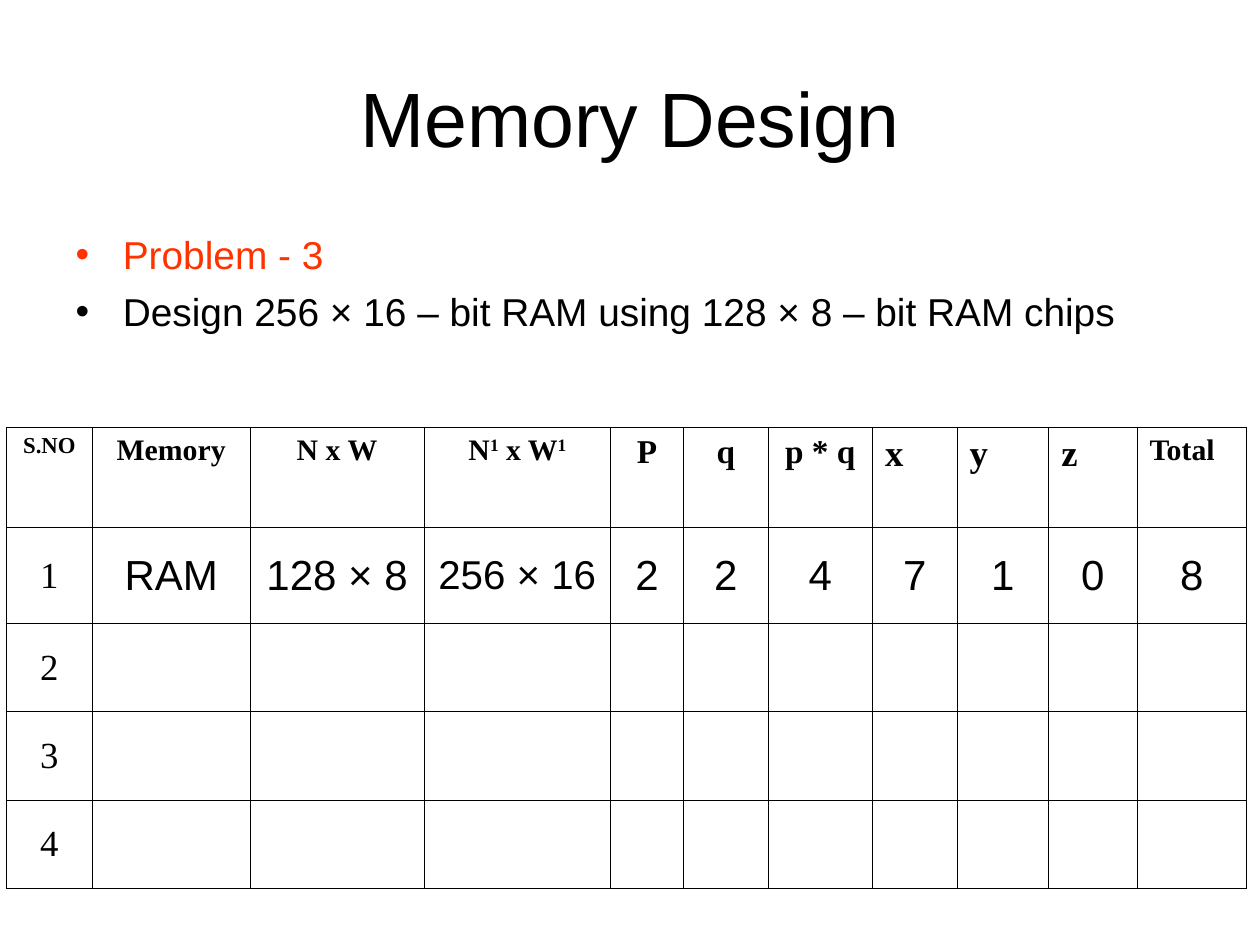
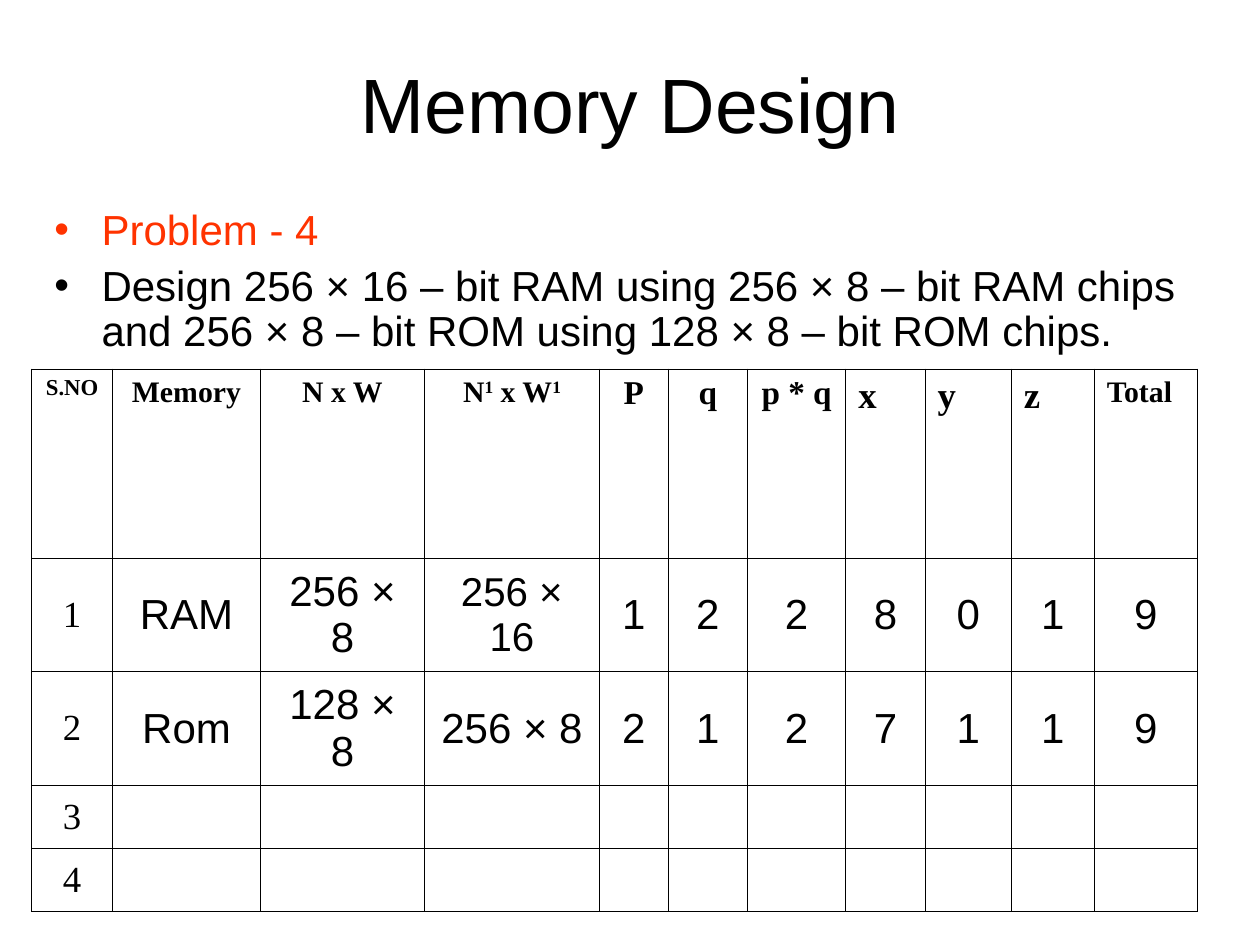
from lxml.etree import SubElement
from pptx import Presentation
from pptx.dml.color import RGBColor
from pptx.enum.text import MSO_ANCHOR as Anchor, MSO_AUTO_SIZE as AutoSize, PP_ALIGN as Align
from pptx.oxml.ns import qn
from pptx.util import Cm, Pt

COLOURS = {"text": "000000", "problem": "FF3300", "border": "000000"}
SANS, SERIF = "Arial", "Times New Roman"

# Column headings: spans (the second one of each pair is superscript), size, alignment
HEADINGS = [
    (["S.NO"], 13, Align.CENTER),
    (["Memory"], 17, Align.CENTER),
    (["N x W"], 17, Align.CENTER),
    (["N", "1", " x W", "1"], 17, Align.CENTER),
    (["P"], 19, Align.CENTER),
    (["q"], 19, Align.CENTER),
    (["p * q"], 19, Align.CENTER),
    (["x"], 21, Align.LEFT),
    (["y"], 21, Align.LEFT),
    (["z"], 21, Align.LEFT),
    (["Total"], 17, Align.LEFT),
]
COLUMN_WIDTHS = [1.73, 3.18, 3.51, 3.76, 1.47, 1.7, 2.11, 1.7, 1.85, 1.78, 2.21]
CHIP_ROWS = 4

PROBLEMS = [
    {
        "title_height": 3.18,
        "body": (1.27, 4.45, 22.86, 2.54),
        "lines": ["Problem - 3", "Design 256 × 16 – bit RAM using 128 × 8 – bit RAM chips"],
        "text": {"size": 22.2, "line_spacing": 1.0},
        "table": (0.13, 8.61, 1.0),
        "row_heights": [2.03, 1.93, 1.78, 1.78, 1.78],
        "chips": [["RAM", "128 × 8", "256 × 16", "2", "2", "4", "7", "1", "0", "8"]],
    },
    {
        "title_height": 2.62,
        "body": (0.84, 4.01, 23.5, 3.61),
        "lines": ["Problem - 4",
                  "Design 256 × 16 – bit RAM using 256 × 8 – bit RAM chips "
                  "and 256 × 8 – bit ROM using 128 × 8 – bit ROM chips."],
        "text": {"size": 24, "line_spacing": 0.9},
        "table": (0.64, 7.44, 0.94),
        "row_heights": [3.81, 2.29, 2.29, 1.27, 1.27],
        "chips": [["RAM", "256 × 8", "256 × 16", "1", "2", "2", "8", "0", "1", "9"],
                  ["Rom", "128 × 8", "256 × 8", "2", "1", "2", "7", "1", "1", "9"]],
    },
]


def apply(target, values):
    for name, value in values.items():
        setattr(target, name, value)


class MemoryDeck:
    def __init__(self):
        self.deck = Presentation()
        apply(self.deck, {"slide_width": Cm(25.4), "slide_height": Cm(19.05)})
        self.page = None

    def add_page(self):
        self.page = self.deck.slides.add_slide(self.deck.slide_layouts[1])

    def place(self, box, left, top, width, height):
        apply(box, {"left": Cm(left), "top": Cm(top), "width": Cm(width), "height": Cm(height)})

    def add_span(self, para, text, size, font=SANS, colour="text", bold=False):
        span = para.add_run()
        span.text = text
        apply(span.font, {"size": Pt(size), "name": font, "bold": bold})
        span.font.color.rgb = RGBColor.from_string(COLOURS[colour])
        return span

    def title(self, text, height):
        box = self.page.shapes.title
        self.place(box, 1.27, 0.76, 22.86, height)
        apply(box.text_frame, {"vertical_anchor": Anchor.MIDDLE, "auto_size": AutoSize.NONE})
        para = box.text_frame.paragraphs[0]
        para.alignment = Align.CENTER
        self.add_span(para, text, 44)

    def bullets(self, lines, area, size, line_spacing):
        box = self.page.placeholders[1]
        self.place(box, *area)
        frame = box.text_frame
        apply(frame, {"auto_size": AutoSize.NONE, "margin_top": Cm(0.2)})
        for index, line in enumerate(lines):
            para = frame.add_paragraph() if index else frame.paragraphs[0]
            apply(para, {"space_before": Pt(6 if index else 0), "line_spacing": line_spacing})
            self.add_span(para, line, size, colour="text" if index else "problem")

    def border(self, cell):
        properties = cell._tc.get_or_add_tcPr()
        for index, side in enumerate(("a:lnL", "a:lnR", "a:lnT", "a:lnB")):
            line = SubElement(properties, qn(side), w=str(Pt(0.45)))
            fill = SubElement(line, qn("a:solidFill"))
            SubElement(fill, qn("a:srgbClr"), val=COLOURS["border"])
            properties.insert(index, line)

    def table(self, chips, left, top, scale, row_heights):
        widths = [width * scale for width in COLUMN_WIDTHS]
        grid = self.page.shapes.add_table(
            len(row_heights), len(widths), Cm(left), Cm(top),
            Cm(sum(widths)), Cm(sum(row_heights))).table
        apply(grid, {"first_row": False, "horz_banding": False})
        for column, width in zip(grid.columns, widths):
            column.width = Cm(width)
        for row, height in zip(grid.rows, row_heights):
            row.height = Cm(height)
        for cell in grid.iter_cells():
            cell.fill.background()
            self.border(cell)

        # Heading row
        for index, (spans, size, alignment) in enumerate(HEADINGS):
            cell = grid.cell(0, index)
            para = cell.text_frame.paragraphs[0]
            para.alignment = alignment
            for position, text in enumerate(spans):
                span = self.add_span(para, text, size, SERIF, bold=True)
                if position % 2:
                    span._r.get_or_add_rPr().set("baseline", "30000")

        # Numbered rows, filled as far as there are chips
        for number in range(1, CHIP_ROWS + 1):
            values = chips[number - 1] if number <= len(chips) else []
            for index, text in enumerate([str(number), *values]):
                cell = grid.cell(number, index)
                cell.vertical_anchor = Anchor.MIDDLE
                para = cell.text_frame.paragraphs[0]
                para.alignment = Align.CENTER
                if index == 0:
                    self.add_span(para, text, 21, SERIF)
                else:
                    self.add_span(para, text, 23 if text == "256 × 16" else 24)


def main():
    memory = MemoryDeck()
    for problem in PROBLEMS:
        memory.add_page()
        memory.title("Memory Design", problem["title_height"])
        memory.bullets(problem["lines"], problem["body"], **problem["text"])
        memory.table(problem["chips"], *problem["table"], problem["row_heights"])
    memory.deck.save("out.pptx")


if __name__ == "__main__":
    main()
